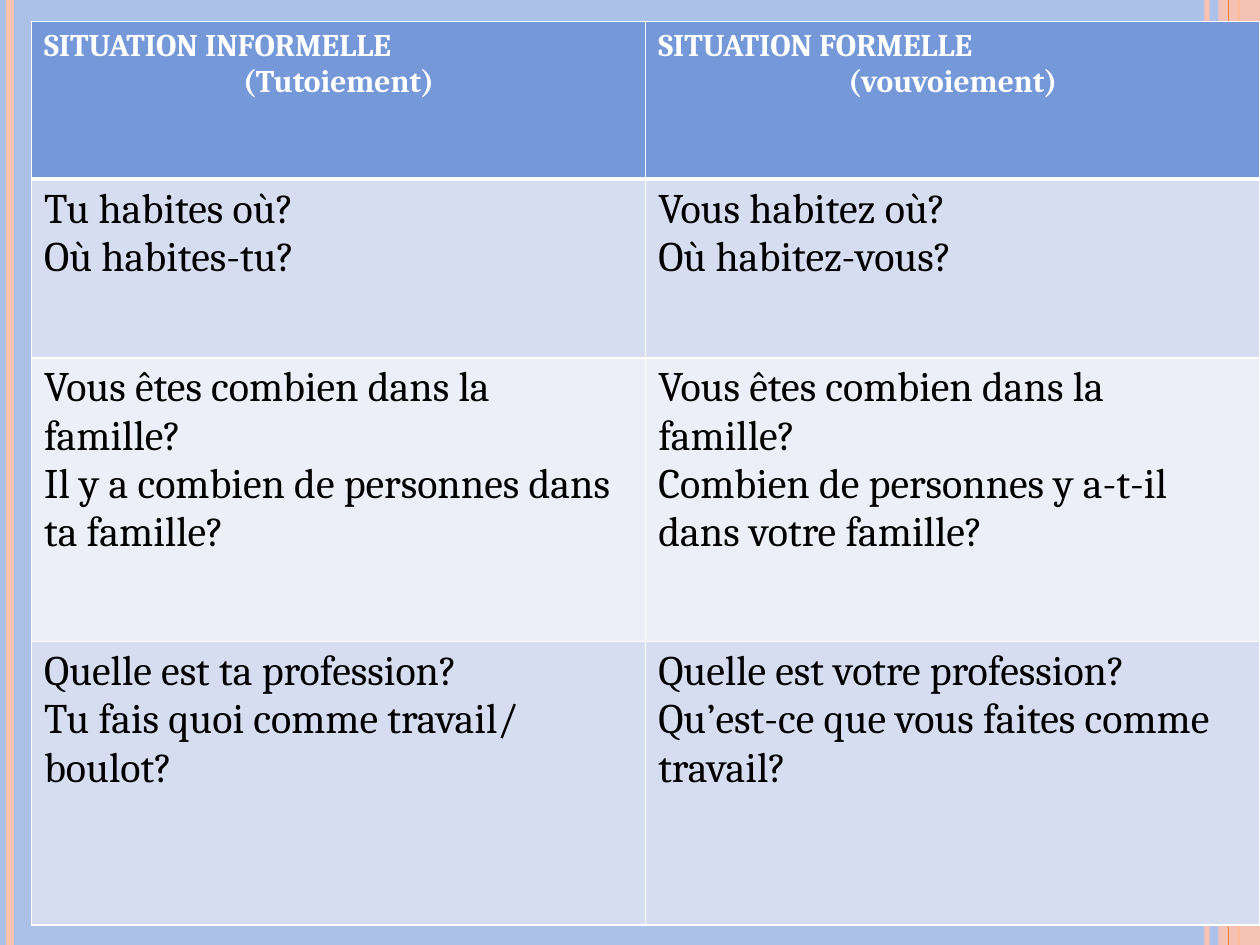
"""Build a slide comparing informal and formal questions in French."""
from lxml import etree
from pptx import Presentation
from pptx.dml.color import RGBColor
from pptx.enum.shapes import MSO_CONNECTOR, MSO_SHAPE
from pptx.enum.text import PP_ALIGN
from pptx.oxml.ns import qn
from pptx.util import Inches, Pt

STRAIGHT = MSO_CONNECTOR.STRAIGHT
RECTANGLE = MSO_SHAPE.RECTANGLE
LEFT, CENTER = PP_ALIGN.LEFT, PP_ALIGN.CENTER

THEME = {
    "background": "ACC1E8",
    "peach": "FEC3AE",
    "orange": "FE8637",
    "header": "7598D9",
    "bands": ("D6DDF1", "ECEFF8"),
    "border": "FFFFFF",
    "header_font": {"name": "Cambria", "size": Pt(18), "bold": True},
    "body_font": {"name": "Cambria", "size": Pt(24), "bold": False},
    "header_text": "FFFFFF",
    "body_text": "000000",
}

QUESTIONS = [
    [("SITUATION INFORMELLE", "(Tutoiement)"),
     ("SITUATION FORMELLE", "(vouvoiement)")],
    [("Tu habites où?", "Où habites-tu?"),
     ("Vous habitez où?", "Où habitez-vous?")],
    [("Vous êtes combien dans la famille?",
      "Il y a combien de personnes dans ta famille?"),
     ("Vous êtes combien dans la famille?",
      "Combien de personnes y a-t-il dans votre famille?")],
    [("Quelle est ta profession?", "Tu fais quoi comme travail/ boulot?"),
     ("Quelle est votre profession?",
      "Qu’est-ce que vous faites comme travail?")],
]
ROW_HEIGHTS = (1.25, 1.42, 2.25, 2.25)


def set_opacity(element, percent):
    color = next(element.iter(qn("a:srgbClr")))
    etree.SubElement(color, qn("a:alpha"), val=str(percent * 1000))


def add_border(cell, side, width):
    line = etree.SubElement(cell._tc.get_or_add_tcPr(), qn(f"a:ln{side}"), w=str(Pt(width)))
    fill = etree.SubElement(line, qn("a:solidFill"))
    etree.SubElement(fill, qn("a:srgbClr"), val=THEME["border"])


prs = Presentation()
prs.slide_width, prs.slide_height = Inches(10), Inches(7.5)
slide = prs.slides.add_slide(prs.slide_layouts[6])
slide.background.fill.solid()
slide.background.fill.fore_color.rgb = RGBColor.from_string(THEME["background"])

for x, color, width, opacity in (
    (9.58, "peach", 3, 93),
    (0.08, "peach", 4.5, 100),
    (9.83, "orange", 1.5, 100),
    (9.75, "orange", 0.75, 100),
):
    if x == 9.75:
        band = slide.shapes.add_shape(RECTANGLE, Inches(9.67), 0, Inches(0.33), prs.slide_height)
        band.shadow.inherit = False
        band.fill.solid()
        band.fill.fore_color.rgb = RGBColor.from_string(THEME["peach"])
        band.line.fill.background()
        set_opacity(band._element.spPr, 87)
    stripe = slide.shapes.add_connector(STRAIGHT, Inches(x), 0, Inches(x), prs.slide_height)
    stripe.line.color.rgb = RGBColor.from_string(THEME[color])
    stripe.line.width = Pt(width)
    if opacity < 100:
        set_opacity(stripe._element.spPr, opacity)
    etree.SubElement(stripe._element.spPr, qn("a:effectLst"))

table = slide.shapes.add_table(
    len(QUESTIONS), 2, Inches(0.25), Inches(0.17), Inches(9.75), Inches(sum(ROW_HEIGHTS))
).table

for r, (height, situations) in enumerate(zip(ROW_HEIGHTS, QUESTIONS)):
    table.rows[r].height = Inches(height)
    is_header = r == 0
    fill = THEME["header"] if is_header else THEME["bands"][(r - 1) % 2]
    role = "header" if is_header else "body"
    for c, lines in enumerate(situations):
        cell = table.cell(r, c)
        for side in "LRTB":
            thick = (is_header and side == "B") or (r == 1 and side == "T")
            add_border(cell, side, 3 if thick else 1)
        cell.fill.solid()
        cell.fill.fore_color.rgb = RGBColor.from_string(fill)
        cell.text = "\n".join(lines)
        for i, paragraph in enumerate(cell.text_frame.paragraphs):
            paragraph.alignment = CENTER if is_header and i else LEFT
            for font in (paragraph.font, paragraph.runs[0].font):
                for name, value in THEME[f"{role}_font"].items():
                    setattr(font, name, value)
                font.color.rgb = RGBColor.from_string(THEME[f"{role}_text"])

prs.save("out.pptx")
